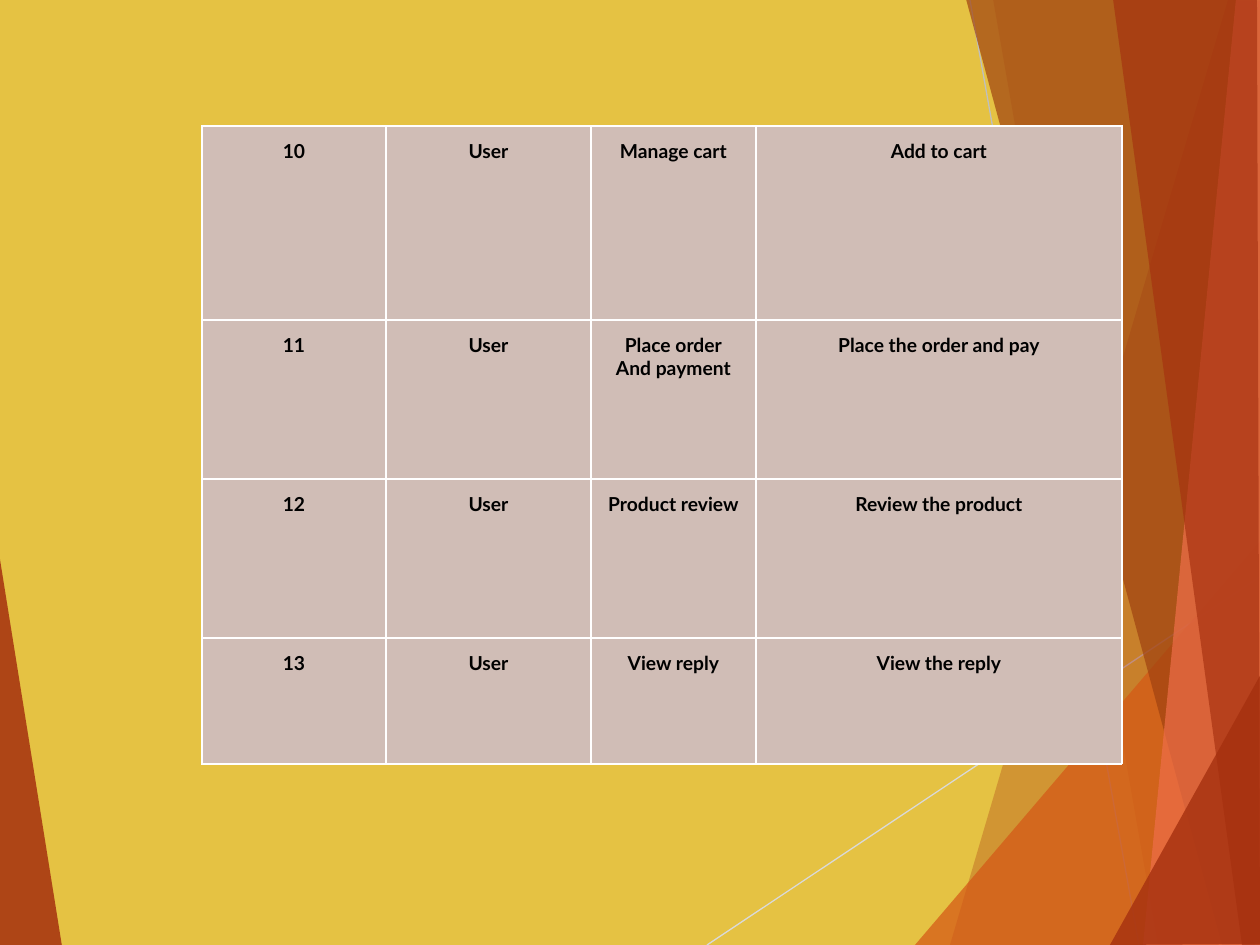
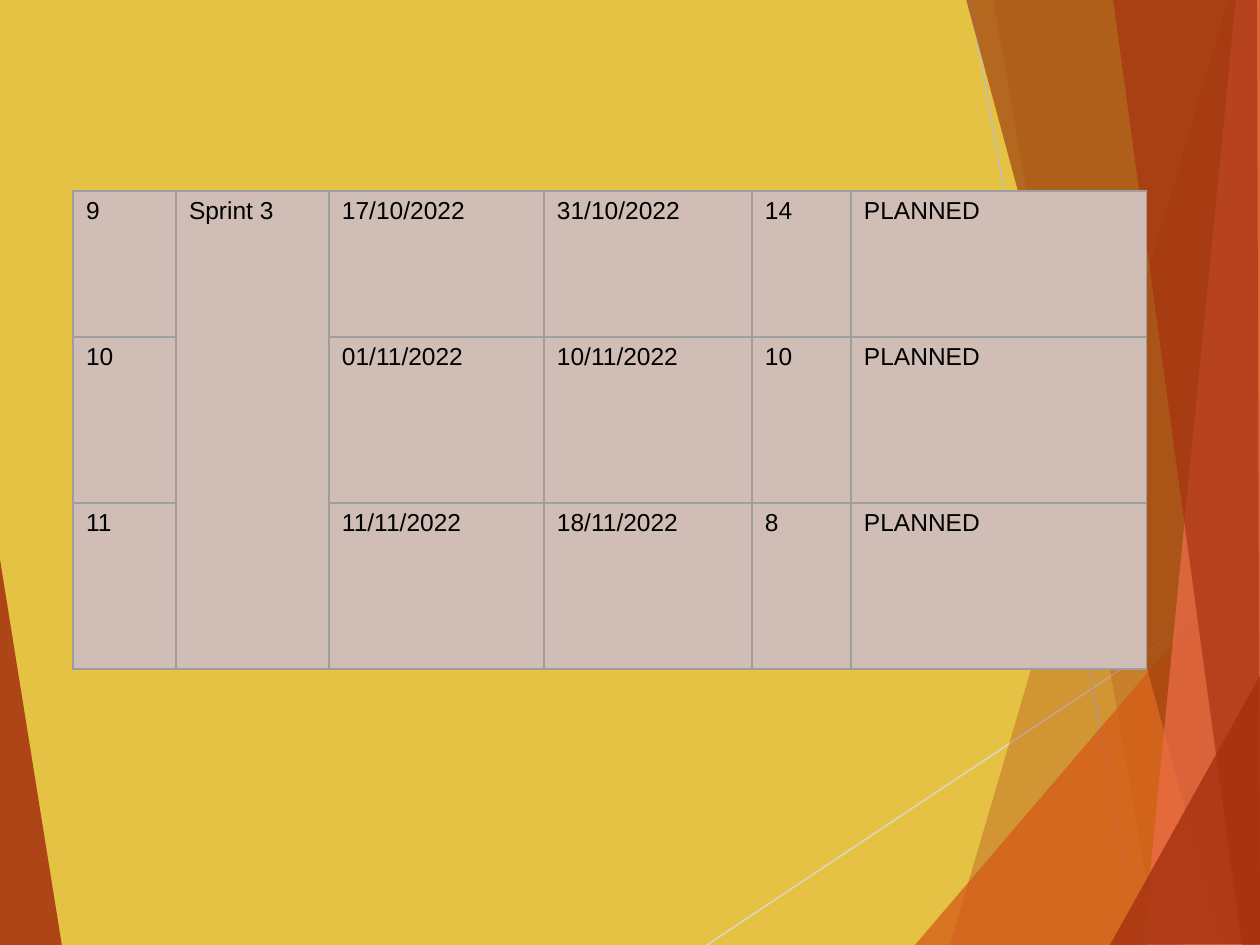
"""Build two table slides over a shared backdrop of translucent facets."""
from pptx import Presentation
from pptx import util as u
from pptx.dml.color import RGBColor
from pptx.enum import shapes, text
from pptx.oxml.ns import qn
from lxml import etree

COLORS = {
    "background": "E5C243", "rust": "A5300F", "orange": "D55816",
    "brown": "A04210", "coral": "EE6E4A", "ray_light": "D9D9D9",
    "ray_dark": "BFBFBF", "cell": "D0BDB6", "text": "000000",
    "white": "FFFFFF", "gray": "9E9E9E",
}
PX = 914400 / 126
WIDTH, HEIGHT = 1260, 945

LEFT_WEDGE = ("rust", 85, [(-1, 553), (62, 946), (-1, 945)])
RAYS = [
    ("ray_light", (707, 945), (1261, 576)),
    ("ray_dark", (970, 0), (1139, 945)),
]
RIGHT_FACETS = [
    ("rust", 30, [(1228, 0), (950, 945), (1262, 946), (1261, 1)]),
    ("rust", 20, [(993, -1), (1158, 945), (1261, 945), (1261, -1)]),
    ("orange", 72, [(915, 945), (1260, 541), (1261, 945)]),
    ("brown", 70, [(966, -1), (1222, 945), (1261, 944), (1261, -1)]),
    ("coral", 70, [(1236, -1), (1143, 945), (1261, 945), (1260, -1)]),
    ("rust", 65, [(1113, -1), (1242, 945), (1260, 945), (1257, -1)]),
    ("rust", 80, [(1110, 945), (1261, 674), (1261, 944)]),
]

BACKLOG = {
    "origin": (202, 126),
    "columns": [184, 205, 165, 366],
    "rows": [194, 159, 159, 126],
    "border": "white",
    "inset": 13,
    "merges": [],
    "format": {"font": "Lato", "size": 11, "bold": True,
               "align": text.PP_ALIGN.CENTER},
    "content": [
        ["10", "User", "Manage cart", "Add to cart"],
        ["11", "User", "Place order\nAnd payment", "Place the order and pay"],
        ["12", "User", "Product review", "Review the product"],
        ["13", "User", "View reply", "View the reply"],
    ],
}
SPRINTS = {
    "origin": (73, 191),
    "columns": [103, 153, 215, 208, 99, 296],
    "rows": [146, 166, 166],
    "border": "gray",
    "inset": 6,
    "merges": [((0, 1), (2, 1))],
    "format": {"font": "Arial", "size": 14},
    "content": [
        ["9", "Sprint 3", "17/10/2022", "31/10/2022", "14", "PLANNED"],
        ["10", "", "01/11/2022", "10/11/2022", "10", "PLANNED"],
        ["11", "", "11/11/2022", "18/11/2022", "8", "PLANNED"],
    ],
}
SIDE_INSET = 13


def px(length):
    return u.Emu(round(length * PX))


def rgb(name):
    return RGBColor.from_string(COLORS[name])


def write(frame, words, *, font, size, bold=False, align=text.PP_ALIGN.LEFT):
    for number, line in enumerate(words.split("\n")):
        paragraph = frame.add_paragraph() if number else frame.paragraphs[0]
        paragraph.alignment = align
        run = paragraph.add_run()
        run.text = line
        run.font.name, run.font.size, run.font.bold = font, u.Pt(size), bold
        run.font.color.rgb = rgb("text")


def draw_facet(slide, color, opacity, points):
    builder = slide.shapes.build_freeform(*points[0], scale=PX)
    builder.add_line_segments(points[1:], close=True)
    facet = builder.convert_to_shape()
    facet.shadow.inherit = False
    facet.line.fill.background()
    facet.fill.solid()
    facet.fill.fore_color.rgb = rgb(color)
    tint = facet._element.spPr.find(f"{qn('a:solidFill')}/{qn('a:srgbClr')}")
    etree.SubElement(tint, qn("a:alpha"), val=str(opacity * 1000))


def draw_ray(slide, color, start, end):
    ray = slide.shapes.add_connector(
        shapes.MSO_CONNECTOR.STRAIGHT, *map(px, start + end))
    ray.line.color.rgb = rgb(color)
    ray.line.width = u.Pt(0.75)
    etree.SubElement(ray._element.spPr, qn("a:effectLst"))


def draw_backdrop(slide):
    slide.background.fill.solid()
    slide.background.fill.fore_color.rgb = rgb("background")
    draw_facet(slide, *LEFT_WEDGE)
    for ray in RAYS:
        draw_ray(slide, *ray)
    for facet in RIGHT_FACETS:
        draw_facet(slide, *facet)


def outline(cell, color):
    properties = cell._tc.get_or_add_tcPr()
    for side in ("lnL", "lnR", "lnT", "lnB"):
        edge = etree.SubElement(properties, qn(f"a:{side}"), w=str(u.Pt(0.75)))
        fill = etree.SubElement(edge, qn("a:solidFill"))
        etree.SubElement(fill, qn("a:srgbClr"), val=COLORS[color])


def draw_table(slide, plan):
    columns, rows = plan["columns"], plan["rows"]
    table = slide.shapes.add_table(
        len(rows), len(columns), *map(px, plan["origin"]),
        px(sum(columns)), px(sum(rows))).table
    table.first_row = table.horz_banding = False
    for column, width in zip(table.columns, columns):
        column.width = px(width)
    for row, height in zip(table.rows, rows):
        row.height = px(height)
    for first, last in plan["merges"]:
        table.cell(*first).merge(table.cell(*last))
    for r, line in enumerate(plan["content"]):
        for c, words in enumerate(line):
            cell = table.cell(r, c)
            if cell.is_spanned:
                continue
            outline(cell, plan["border"])
            cell.fill.solid()
            cell.fill.fore_color.rgb = rgb("cell")
            cell.margin_left = cell.margin_right = px(SIDE_INSET)
            cell.margin_top = cell.margin_bottom = px(plan["inset"])
            write(cell.text_frame, words, **plan["format"])


def main():
    deck = Presentation()
    deck.slide_width, deck.slide_height = px(WIDTH), px(HEIGHT)
    for plan in (BACKLOG, SPRINTS):
        slide = deck.slides.add_slide(deck.slide_layouts[6])
        draw_backdrop(slide)
        draw_table(slide, plan)
    deck.save("out.pptx")


if __name__ == "__main__":
    main()
